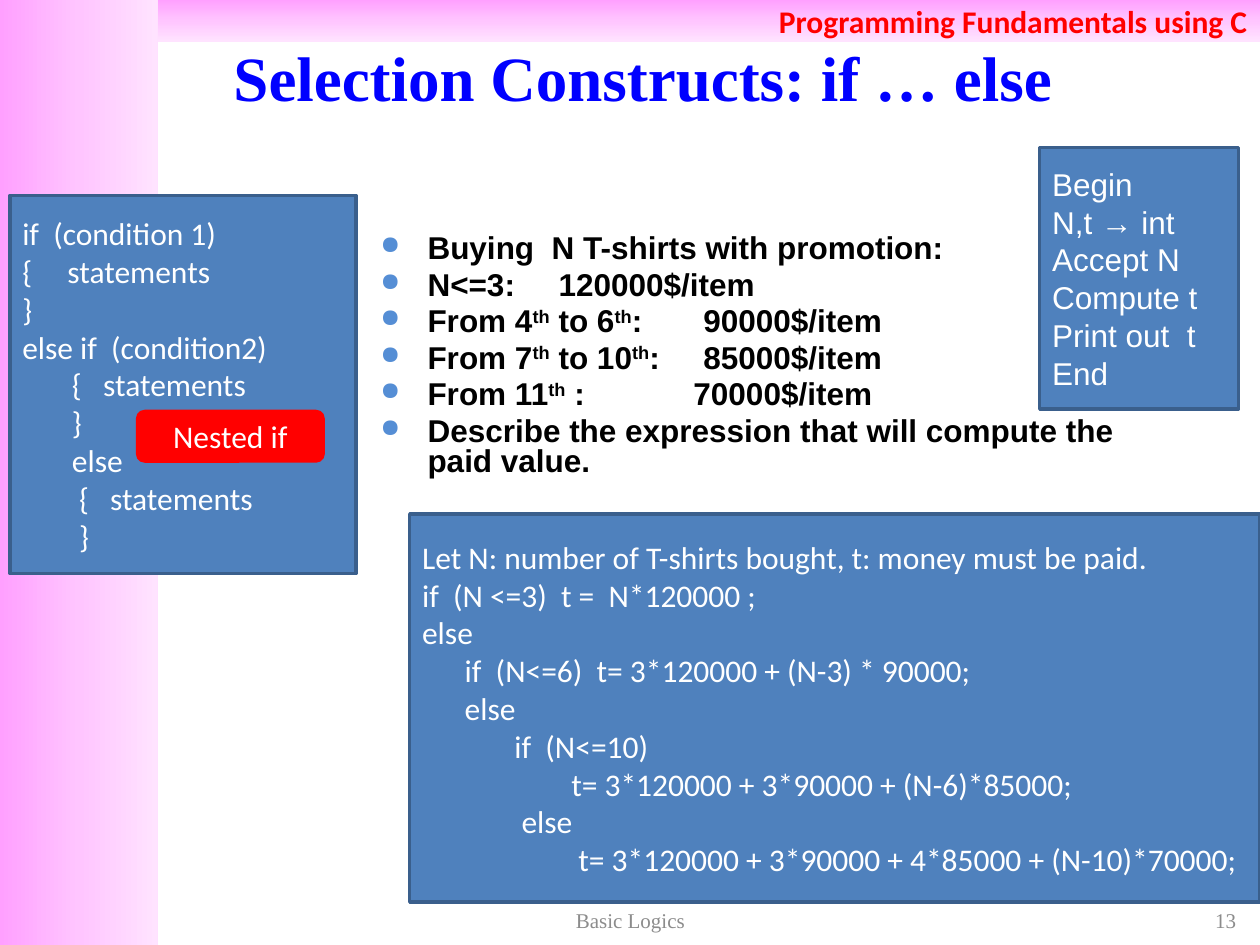
from copy import deepcopy
from dataclasses import dataclass

from lxml import etree
from pptx import Presentation
from pptx.dml.color import RGBColor
from pptx.enum.shapes import MSO_SHAPE
from pptx.enum.text import MSO_ANCHOR, PP_ALIGN
from pptx.oxml.ns import qn
from pptx.util import Cm, Pt

RECT, ROUND = MSO_SHAPE.RECTANGLE, MSO_SHAPE.ROUNDED_RECTANGLE
LEFT, MID, RIGHT = PP_ALIGN.LEFT, PP_ALIGN.CENTER, PP_ALIGN.RIGHT
CENTRE, TOP = MSO_ANCHOR.MIDDLE, MSO_ANCHOR.TOP


@dataclass(frozen=True)
class Theme:
    pinks: tuple = ("FFA0FF", "FFC5FF", "FFE3FF")
    blue: str = "4F81BD"
    edge: str = "3A5F8C"
    red: str = "FF0000"
    title: str = "0000FF"
    bullet: str = "558ED5"
    white: str = "FFFFFF"
    black: str = "000000"
    grey: str = "8C8C8C"
    big: int = 36
    body: int = 18
    small: int = 12
    sans: str = "Calibri"
    plain: str = "Arial"
    serif: str = "Times New Roman"


@dataclass(frozen=True)
class Box:
    """A rectangle in centimetres."""
    left: float
    top: float
    width: float
    height: float

    def place(self) -> tuple:
        return Cm(self.left), Cm(self.top), Cm(self.width), Cm(self.height)


@dataclass(frozen=True)
class Style:
    face: str
    size: int
    colour: str
    bold: bool = False
    align: PP_ALIGN = LEFT


@dataclass(frozen=True)
class Panel:
    """A blue box of code lines; tabs maps a line number to its stop in cm."""
    box: Box
    face: str
    lines: tuple
    tabs: tuple = ()


@dataclass(frozen=True)
class Label:
    box: Box
    text: str
    style: Style


@dataclass(frozen=True)
class Point:
    """A bullet; text between carets is raised, stop is its tab in cm."""
    text: str
    stop: float = 0


T = Theme()

PANELS = (
    Panel(Box(0.2, 3.94, 6.98, 7.62), T.sans, (
        "if  (condition 1)",
        "{\tstatements",
        "}",
        "else if  (condition2)",
        "       {\tstatements",
        "       }",
        "       else",
        "        {\tstatements",
        "        }",
    ), ((1, 0.91), (4, 1.63), (7, 1.77))),
    Panel(Box(8.26, 10.36, 17.14, 7.82), T.sans, (
        "Let N: number of T-shirts bought, t: money must be paid.",
        "if  (N <=3)  t =  N*120000 ;",
        "else",
        "      if  (N<=6)  t= 3*120000 + (N-3) * 90000;",
        "      else",
        "             if  (N<=10)",
        "                     t= 3*120000 + 3*90000 + (N-6)*85000;",
        "              else",
        "                      t= 3*120000 + 3*90000 + 4*85000 + (N-10)*70000;",
    )),
    Panel(Box(20.96, 2.97, 4.01, 5.28), T.plain, (
        "Begin", "N,t → int", "Accept N", "Compute t", "Print out  t", "End",
    )),
)

POINTS = (
    Point("Buying  N T-shirts with promotion:"),
    Point("N<=3:\t120000$/item", 3.59),
    Point("From 4^th^ to 6^th^:\t90000$/item", 6.51),
    Point("From 7^th^ to 10^th^:\t85000$/item", 6.51),
    Point("From 11^th^ :\t70000$/item", 6.31),
    Point("Describe the expression that will compute the paid value."),
)

FOOT = dict(face=T.serif, size=T.small, colour=T.grey)
LABELS = (
    Label(Box(2.11, 0.76, 22.02, 1.57), "Selection Constructs: if … else ",
          Style(T.serif, T.big, T.title, True, MID)),
    Label(Box(19.25, 18.21, 5.92, 0.69), "13", Style(align=RIGHT, **FOOT)),
    Label(Box(8.69, 18.21, 8.04, 0.69), "Basic Logics", Style(align=MID, **FOOT)),
)


def rgb(code: str) -> RGBColor:
    return RGBColor.from_string(code)


def add_tag(parent, tag: str, **attrs):
    return etree.SubElement(parent, qn(tag), attrs)


def add_stop(para, stop: float) -> None:
    tabs = add_tag(para._p.get_or_add_pPr(), "a:tabLst")
    add_tag(tabs, "a:tab", pos=str(Cm(stop)), algn="l")


def format_para(para, style: Style) -> None:
    para.alignment = style.align
    for run in para.runs:
        font = run.font
        font.name, font.size, font.bold = style.face, Pt(style.size), style.bold
        font.color.rgb = rgb(style.colour)


def write(shape, text: str, style: Style, anchor=CENTRE):
    frame = shape.text_frame
    frame.word_wrap, frame.vertical_anchor = True, anchor
    frame.text = text
    for para in frame.paragraphs:
        format_para(para, style)
    return frame


def draw_shape(slide, kind, box: Box):
    shape = slide.shapes.add_shape(kind, *box.place())
    shape.shadow.inherit = False
    shape.line.fill.background()
    return shape


def draw_band(slide, box: Box, angle: int):
    band = draw_shape(slide, RECT, box)
    band.fill.gradient()
    band.fill.gradient_angle = angle
    stops = band._element.spPr.find(".//" + qn("a:gsLst"))
    stops.insert(1, deepcopy(stops[0]))
    for stop, pos, code in zip(band.fill.gradient_stops, (0, 0.5, 1), T.pinks):
        stop.position, stop.color.rgb = pos, rgb(code)
    return band


def draw_solid(slide, kind, box: Box, code: str):
    shape = draw_shape(slide, kind, box)
    shape.fill.solid()
    shape.fill.fore_color.rgb = rgb(code)
    return shape


def draw_panel(slide, panel: Panel) -> None:
    shape = draw_solid(slide, RECT, panel.box, T.blue)
    shape.line.color.rgb, shape.line.width = rgb(T.edge), Pt(2)
    frame = write(shape, "\n".join(panel.lines), Style(panel.face, T.body, T.white))
    for row, stop in panel.tabs:
        add_stop(frame.paragraphs[row], stop)


def draw_label(slide, label: Label) -> None:
    write(slide.shapes.add_textbox(*label.box.place()), label.text, label.style)


def draw_points(slide, box: Box, points: tuple) -> None:
    frame = slide.shapes.add_textbox(*box.place()).text_frame
    frame.word_wrap, frame.vertical_anchor = True, TOP
    for row, point in enumerate(points):
        para = frame.add_paragraph() if row else frame.paragraphs[0]
        props = para._p.get_or_add_pPr()
        props.set("marL", str(Cm(0.95)))
        props.set("indent", str(-Cm(0.95)))
        add_tag(add_tag(props, "a:buClr"), "a:srgbClr", val=T.bullet)
        add_tag(props, "a:buSzPct", val="80000")
        add_tag(props, "a:buChar", char="●")
        if point.stop:
            add_stop(para, point.stop)
        para.line_spacing = 0.8
        para.space_before = Pt(3.6 if row else 0)
        for part, text in enumerate(point.text.split("^")):
            run = para.add_run()
            run.text = text
            if part % 2:
                run.font._element.set("baseline", "30000")
        format_para(para, Style(T.plain, T.body, T.black, True))


def main() -> None:
    deck = Presentation()
    deck.slide_width, deck.slide_height = Cm(25.4), Cm(19.05)
    slide = deck.slides.add_slide(deck.slide_layouts[6])

    # Pink bands
    draw_band(slide, Box(0, 0, 3.18, 19.05), 0)
    head = draw_band(slide, Box(3.18, 0, 22.22, 0.84), 270)
    write(head, "Programming Fundamentals using C",
          Style(T.sans, T.body, T.red, True, RIGHT))

    # Title, page number and footer
    for label in LABELS:
        draw_label(slide, label)

    # Price list and code
    draw_points(slide, Box(7.42, 4.62, 16.51, 5.33), POINTS)
    for panel in PANELS:
        draw_panel(slide, panel)
    badge = draw_solid(slide, ROUND, Box(2.74, 8.26, 3.81, 1.07), T.red)
    write(badge, "Nested if", Style(T.sans, T.body, T.white, align=MID))

    deck.save("out.pptx")


if __name__ == "__main__":
    main()
